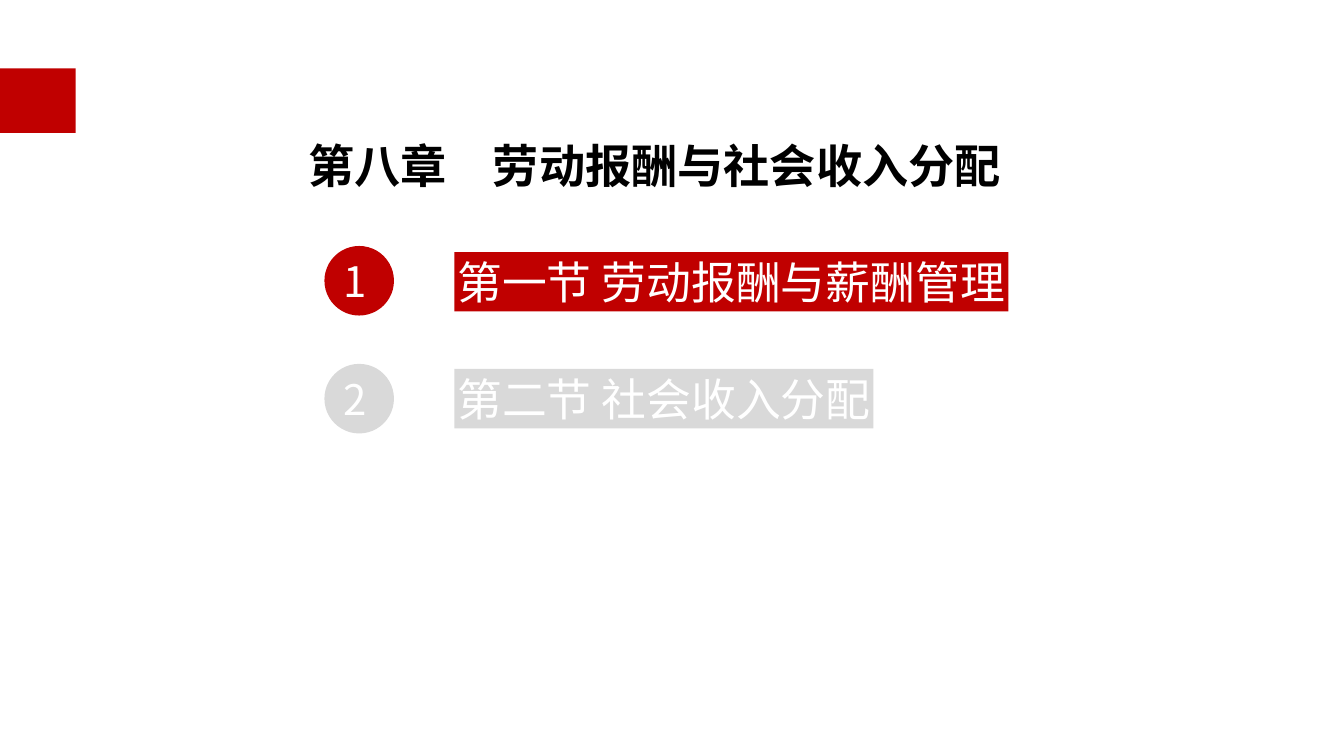
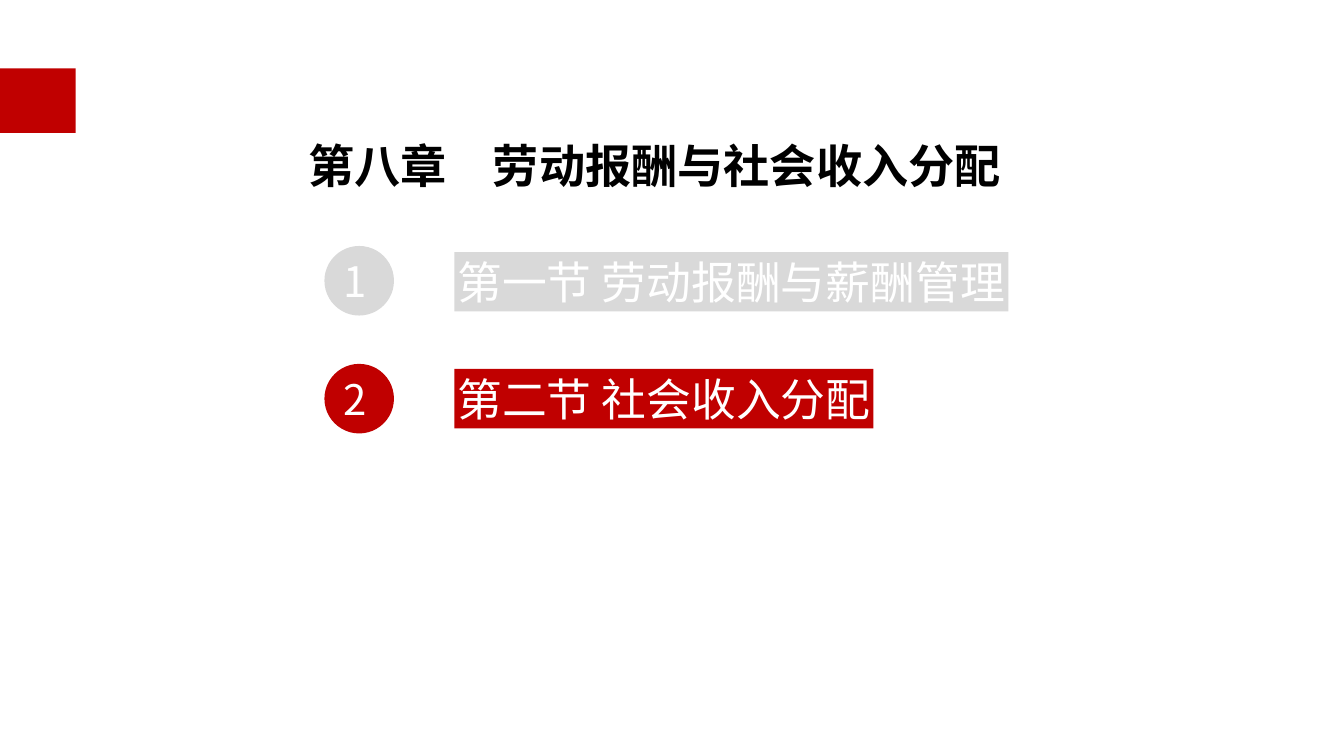
from dataclasses import dataclass

from lxml import etree
from pptx import Presentation
from pptx.dml.color import RGBColor
from pptx.enum import shapes, text
from pptx.oxml.ns import qn
from pptx.util import Inches, Pt


@dataclass(frozen=True)
class Theme:
    active: RGBColor = RGBColor(0xC0, 0x00, 0x00)
    inactive: RGBColor = RGBColor(0xD9, 0xD9, 0xD9)
    title_color: RGBColor = RGBColor(0x00, 0x00, 0x00)
    label_color: RGBColor = RGBColor(0xFF, 0xFF, 0xFF)
    cjk_font: str = "Noto Sans CJK SC"
    latin_font: str = "Calibri"
    title_size: int = 33
    label_size: int = 32
    number_size: int = 30


theme = Theme()


def add_block(slide, kind, left, top, width, height, color):
    block = slide.shapes.add_shape(
        kind, Inches(left), Inches(top), Inches(width), Inches(height)
    )
    block.shadow.inherit = False
    block.fill.solid()
    block.fill.fore_color.rgb = color
    block.line.fill.background()
    return block


def set_text(shape, content, *, size, color, font=theme.cjk_font, bold=False,
             inset=0.03, left_inset=None, line_spacing=None):
    """Write one unwrapped, left-aligned, vertically centred line."""
    frame = shape.text_frame
    frame.text = content
    frame.word_wrap = False
    frame.auto_size = text.MSO_AUTO_SIZE.NONE
    frame.vertical_anchor = text.MSO_ANCHOR.MIDDLE
    frame.margin_top = frame.margin_right = frame.margin_bottom = Inches(inset)
    frame.margin_left = Inches(inset if left_inset is None else left_inset)
    paragraph = frame.paragraphs[0]
    paragraph.alignment = text.PP_ALIGN.LEFT
    paragraph.line_spacing = line_spacing
    run = paragraph.runs[0]
    run.font.size = Pt(size)
    run.font.bold = bold
    run.font.color.rgb = color
    run.font.name = font
    east_asian = etree.SubElement(run.font._element, qn("a:ea"))
    east_asian.set("typeface", theme.cjk_font)


presentation = Presentation()
presentation.slide_width = Inches(13.34)
presentation.slide_height = Inches(7.5)
title_only = presentation.slide_layouts[5]

chapter = "第八章　劳动报酬与社会收入分配"
sections = [("第一节 劳动报酬与薪酬管理", 5.5), ("第二节 社会收入分配", 4.16)]
circle_top, label_top = 2.44, 2.5
circle_pitch, label_pitch = 1.17, 1.16
circle_size, label_height = 0.69, 0.59

for current in range(len(sections)):
    slide = presentation.slides.add_slide(title_only)
    add_block(slide, shapes.MSO_SHAPE.RECTANGLE, 0, 0.68, 0.75, 0.64, theme.active)

    title = slide.shapes.title
    title.left, title.top = Inches(3.03), Inches(1.06)
    title.width, title.height = Inches(7.1), Inches(0.88)
    set_text(title, chapter, size=theme.title_size, color=theme.title_color,
             bold=True, line_spacing=1.5)

    for index, (section, label_width) in enumerate(sections):
        color = theme.active if index == current else theme.inactive
        circle = add_block(slide, shapes.MSO_SHAPE.OVAL, 3.22,
                           circle_top + index * circle_pitch,
                           circle_size, circle_size, color)
        set_text(circle, str(index + 1), size=theme.number_size,
                 color=theme.label_color, inset=0, left_inset=0.09)
        label = add_block(slide, shapes.MSO_SHAPE.RECTANGLE, 4.51,
                          label_top + index * label_pitch,
                          label_width, label_height, color)
        set_text(label, section, size=theme.label_size,
                 color=theme.label_color, font=theme.latin_font)

presentation.save("out.pptx")
